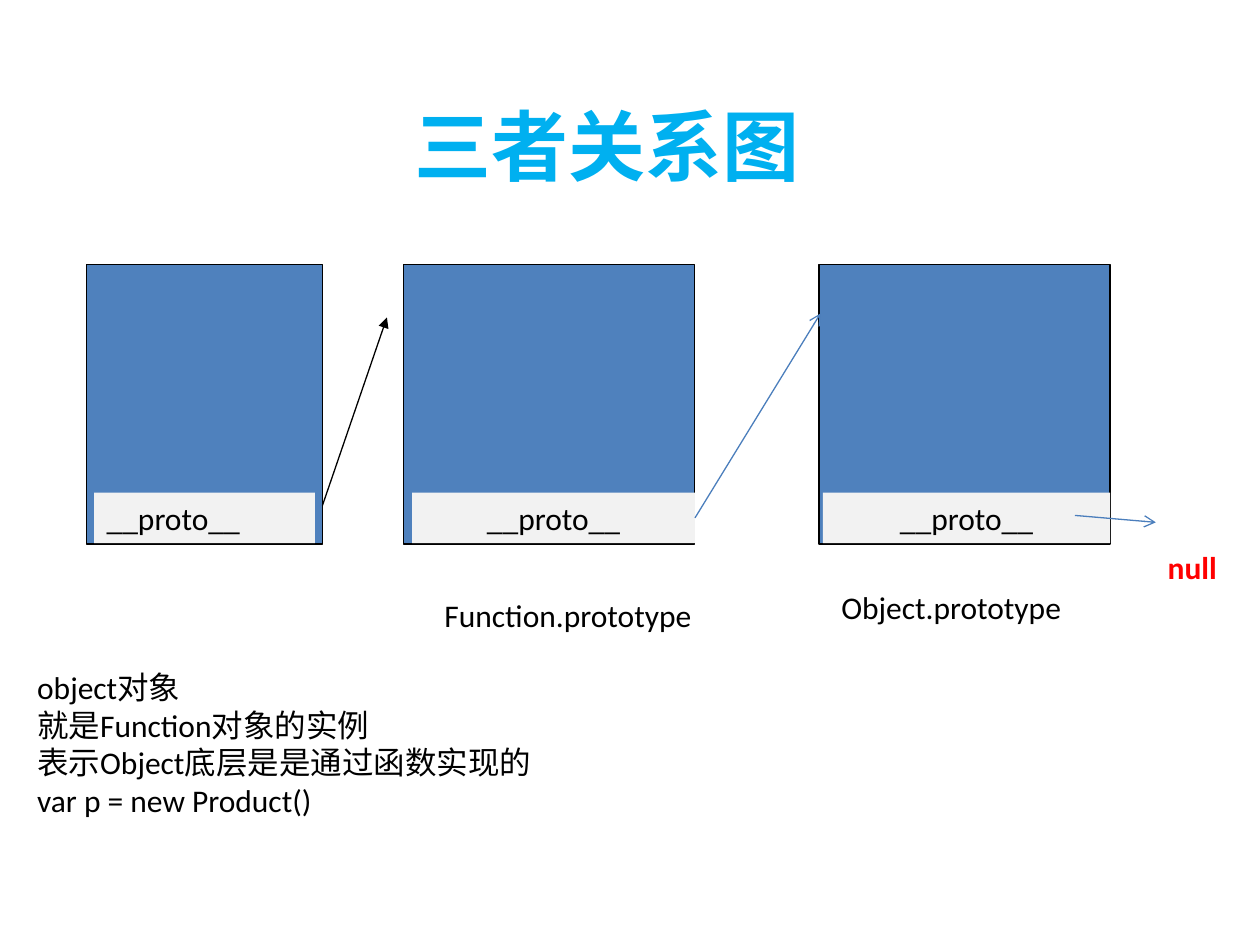
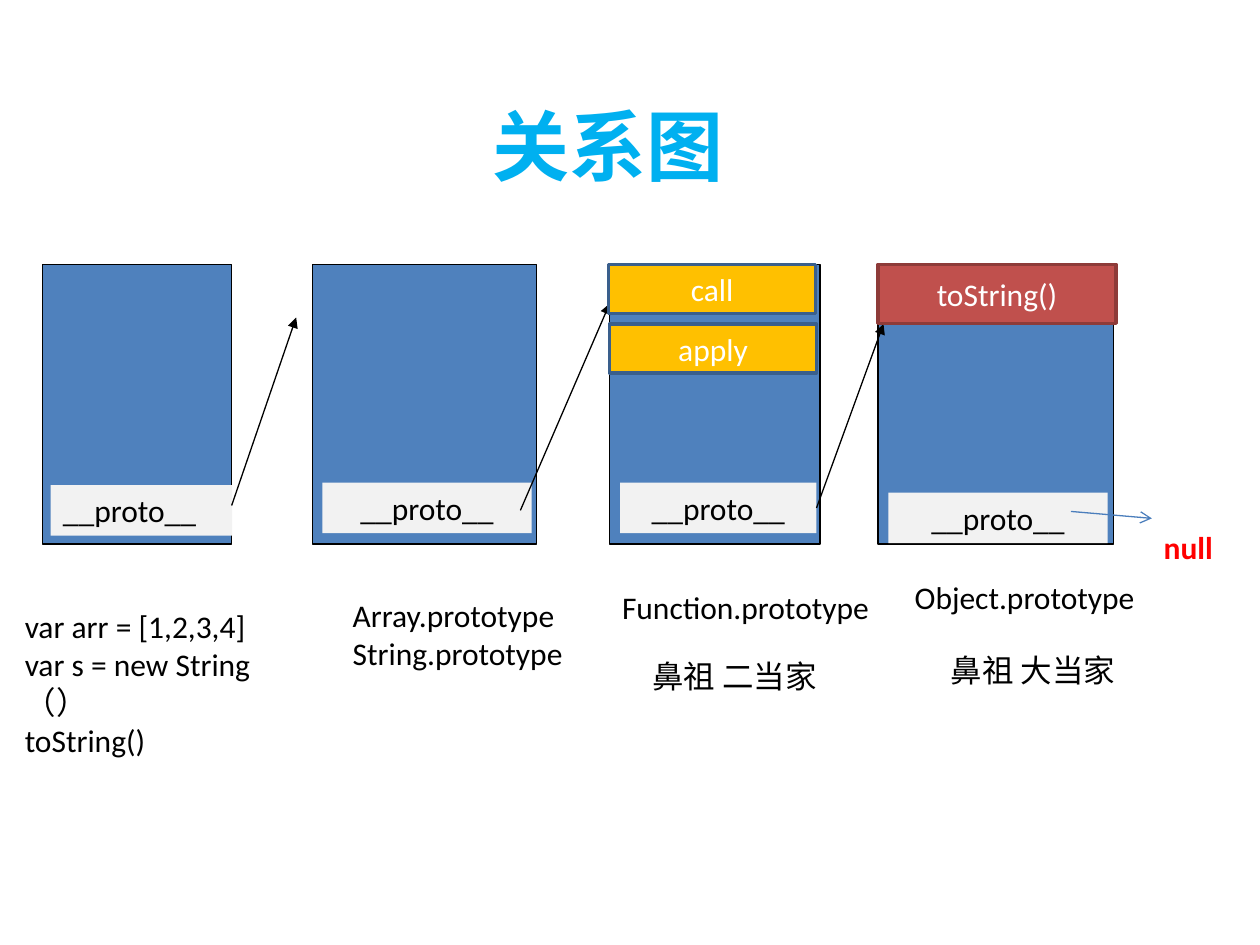
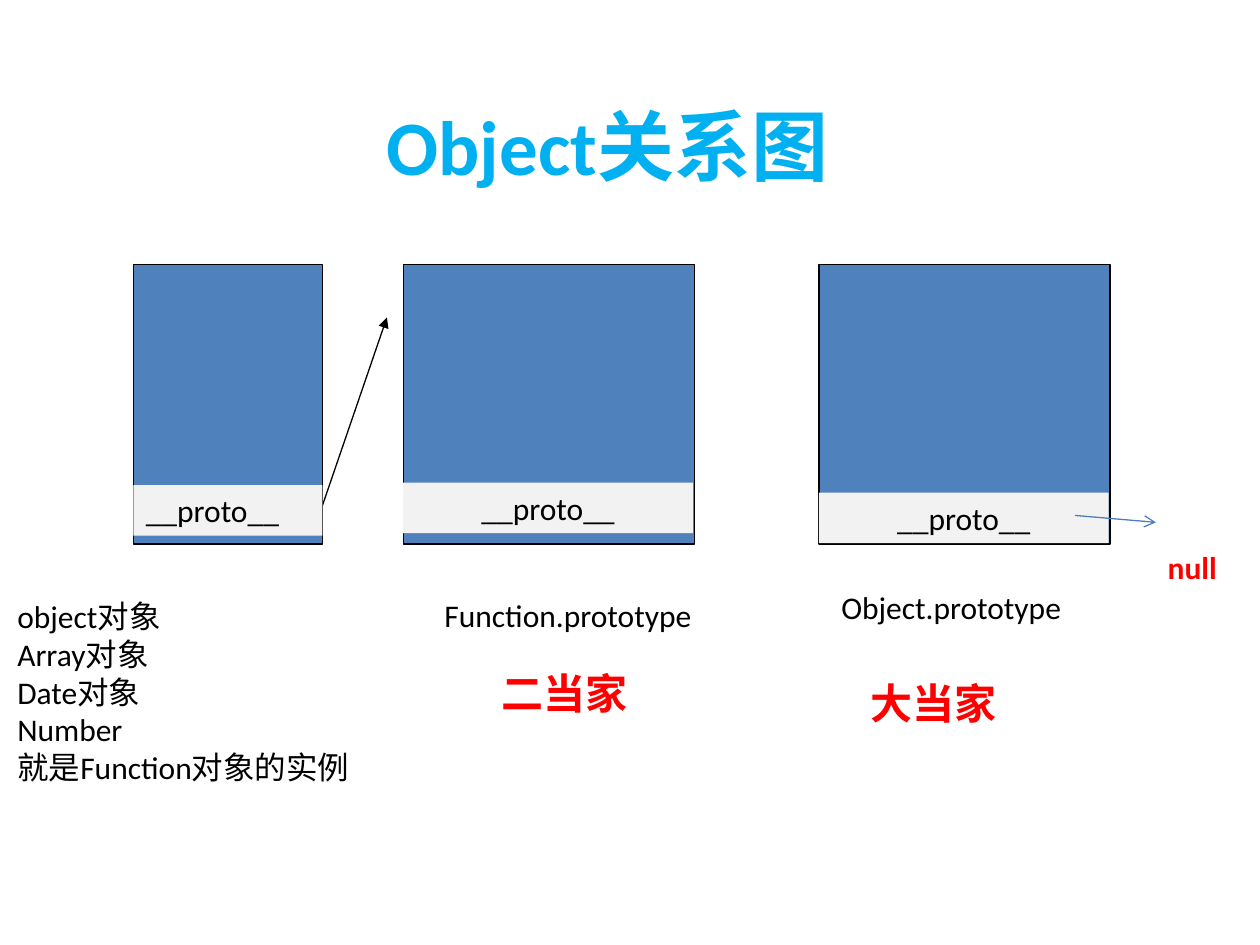
from lxml.etree import SubElement
from pptx import Presentation
from pptx.dml.color import RGBColor
from pptx.enum.shapes import MSO_CONNECTOR as Connector, MSO_SHAPE as Preset
from pptx.enum.text import MSO_ANCHOR as Anchor, PP_ALIGN as Align
from pptx.oxml.ns import qn
from pptx.util import Cm, Pt

BLACK = RGBColor(0x00, 0x00, 0x00)
WHITE = RGBColor(0xFF, 0xFF, 0xFF)
RED = RGBColor(0xFF, 0x00, 0x00)
SKY = RGBColor(0x00, 0xB0, 0xF0)
BLUE = RGBColor(0x4F, 0x81, 0xBD)
ARROW_BLUE = RGBColor(0x4B, 0x7E, 0xBC)
NAVY = RGBColor(0x3A, 0x5F, 0x8C)
GREY = RGBColor(0xF2, 0xF2, 0xF2)
BRICK = RGBColor(0xC0, 0x50, 0x4D)
DARK_BRICK = RGBColor(0x8E, 0x3B, 0x39)
AMBER = RGBColor(0xFF, 0xC0, 0x00)

FONT = "Calibri"
PILLAR_TOP, PILLAR_HEIGHT = 5.33, 5.64
LINE_HEIGHT = 1.02
TAG_LOW, TAG_MID, TAG_HIGH = 9.93, 9.78, 9.73
FUNCTION_LEFT, OBJECT_LEFT, WIDE = 8.13, 16.51, 5.87


def write_text(shape, text, size=18, color=BLACK, bold=False, align=Align.LEFT, anchor=Anchor.TOP):
    """Fill a shape with one paragraph per line of text."""
    frame = shape.text_frame
    frame.word_wrap = True
    frame.vertical_anchor = anchor
    frame.text = text
    for paragraph in frame.paragraphs:
        paragraph.alignment = align
        font = paragraph.font
        font.name, font.size, font.bold = FONT, Pt(size), bold
        font.color.rgb = color


class Deck:
    """Prototype diagrams: the shared style and the current slide."""

    def __init__(self):
        """Start an empty 4:3 presentation."""
        self.presentation = Presentation()
        self.presentation.slide_width = Cm(25.4)
        self.presentation.slide_height = Cm(19.05)
        self.slide = None

    def new_slide(self, title):
        """Add a blank slide with its title."""
        self.slide = self.presentation.slides.add_slide(self.presentation.slide_layouts[6])
        self.label(title, -0.3, 1.32, 25.1, 3.18, size=44, color=SKY, bold=True,
                   align=Align.CENTER, anchor=Anchor.MIDDLE)

    def label(self, text, left, top, width, height=LINE_HEIGHT, **style):
        """Add a text box."""
        shape = self.slide.shapes.add_textbox(Cm(left), Cm(top), Cm(width), Cm(height))
        write_text(shape, text, **style)

    def rectangle(self, left, top, width, height, fill, line=None, weight=0.75):
        """Add a filled rectangle, outlined when a line colour is given."""
        shape = self.slide.shapes.add_shape(
            Preset.RECTANGLE, Cm(left), Cm(top), Cm(width), Cm(height))
        shape.shadow.inherit = False
        shape.fill.solid()
        shape.fill.fore_color.rgb = fill
        if line is None:
            shape.line.fill.background()
        else:
            shape.line.color.rgb = line
            shape.line.width = Pt(weight)
        return shape

    def pillar(self, left, width):
        """Add the tall box that stands for one object."""
        self.rectangle(left, PILLAR_TOP, width, PILLAR_HEIGHT, BLUE, BLACK)

    def proto(self, left, top, width, align=Align.CENTER):
        """Add the __proto__ slot of an object."""
        shape = self.rectangle(left, top, width, LINE_HEIGHT, GREY)
        write_text(shape, "__proto__", align=align)
        return shape

    def member(self, text, left, top, width, height, fill, line):
        """Add a method that an object owns."""
        shape = self.rectangle(left, top, width, height, fill, line, weight=2)
        write_text(shape, text, color=WHITE, align=Align.CENTER, anchor=Anchor.MIDDLE)

    def arrow(self, start, end, color=BLACK, head="triangle", source=None):
        """Add an arrow, joined to the right side of its source if there is one."""
        connector = self.slide.shapes.add_connector(
            Connector.STRAIGHT, *(Cm(value) for value in (*start, *end)))
        if source is not None:
            connector.begin_connect(source, 3)
        connector.line.color.rgb = color
        connector.line.width = Pt(0.75)
        properties = connector.element.spPr
        SubElement(properties.find(qn("a:ln")), qn("a:tailEnd"), type=head)
        SubElement(properties, qn("a:effectLst"))

    def null_end(self, left, top, label_top):
        """Add the end of the chain: an arrow to null."""
        self.arrow((left, top), (left + 1.63, top + 0.14), ARROW_BLUE, "arrow")
        self.label("null", left + 1.62, label_top, 1.88, color=RED, bold=True)

    def three_pillars(self, title, first_left):
        """Add a slide with an instance, Function.prototype and Object.prototype."""
        self.new_slide(title)
        self.pillar(first_left, 6.5 - first_left)
        self.pillar(FUNCTION_LEFT, WIDE)
        self.pillar(OBJECT_LEFT, WIDE)
        self.arrow((6.5, 10.19), (7.8, 6.4))
        self.label("Function.prototype", 8.71, 11.89, 5.77)
        self.label("Object.prototype", 16.71, 11.73, 5.69)


def three_way_slide(deck):
    """Build the diagram of the three-way relation."""
    deck.three_pillars("三者关系图", 1.75)
    deck.proto(1.9, TAG_LOW, 4.45, Align.LEFT)
    function_proto = deck.proto(8.31, TAG_LOW, 5.7)
    deck.proto(16.59, TAG_LOW, 5.79)
    deck.null_end(21.67, 10.39, 10.92)
    deck.arrow((14, 10.44), (16.54, 6.32), ARROW_BLUE, "arrow", function_proto)
    deck.label("object对象\n就是Function对象的实例\n表示Object底层是是通过函数实现的\n"
               "var p = new Product()", 0.5, 13.34, 15.52, 3.3)


def chain_slide(deck):
    """Build the diagram of the full prototype chain."""
    deck.new_slide("关系图")
    for left, width in ((0.86, 3.81), (6.3, 4.52), (12.29, 4.24), (17.7, 4.75)):
        deck.pillar(left, width)
    deck.proto(1.02, TAG_MID, 3.66, Align.LEFT)
    deck.proto(6.5, TAG_HIGH, 4.22)
    function_proto = deck.proto(12.5, TAG_HIGH, 3.96)
    deck.proto(17.91, TAG_LOW, 4.42)
    deck.arrow((4.67, 10.19), (5.97, 6.4))
    deck.arrow((10.49, 10.29), (12.29, 6.12))
    deck.arrow((16.46, 10.24), (17.81, 6.53), source=function_proto)
    deck.null_end(21.59, 10.31, 10.52)
    deck.member("toString()", 17.7, PILLAR_TOP, 4.8, 1.19, BRICK, DARK_BRICK)
    deck.member("call", 12.27, PILLAR_TOP, 4.17, 0.99, AMBER, NAVY)
    deck.member("apply", 12.29, 6.53, 4.17, 0.99, AMBER, NAVY)
    deck.label("var arr = [1,2,3,4]\nvar s = new String（）\ntoString()", 0.25, 12.12, 6.3, 2.54)
    deck.label("Array.prototype\nString.prototype", 6.86, 11.89, 4.85, 1.78)
    deck.label("Function.prototype", 12.29, 11.73, 5.77)
    deck.label("Object.prototype", 18.19, 11.53, 5.69)
    deck.label("鼻祖 二当家", 12.9, 13.13, 4.19)
    deck.label("鼻祖 大当家", 18.92, 13, 4.19)


def object_slide(deck):
    """Build the diagram of the Object relation."""
    deck.three_pillars("Object关系图", 2.69)
    deck.proto(2.69, TAG_MID, 3.81, Align.LEFT)
    deck.proto(FUNCTION_LEFT, TAG_HIGH, 5.84)
    deck.proto(OBJECT_LEFT, TAG_LOW, 5.84)
    deck.null_end(21.67, 10.39, 10.92)
    deck.label("object对象\nArray对象\nDate对象\nNumber\n就是Function对象的实例",
               0.1, 11.91, 7.21, 4.06)
    for rank, left, top in (("二当家", 9.86, 13.34), ("大当家", 17.3, 13.54)):
        deck.label(rank, left, top, 3.25, 1.27, size=24, color=RED, bold=True)


def main():
    """Build the slides and save them."""
    deck = Deck()
    three_way_slide(deck)
    chain_slide(deck)
    object_slide(deck)
    deck.presentation.save("out.pptx")


if __name__ == "__main__":
    main()
